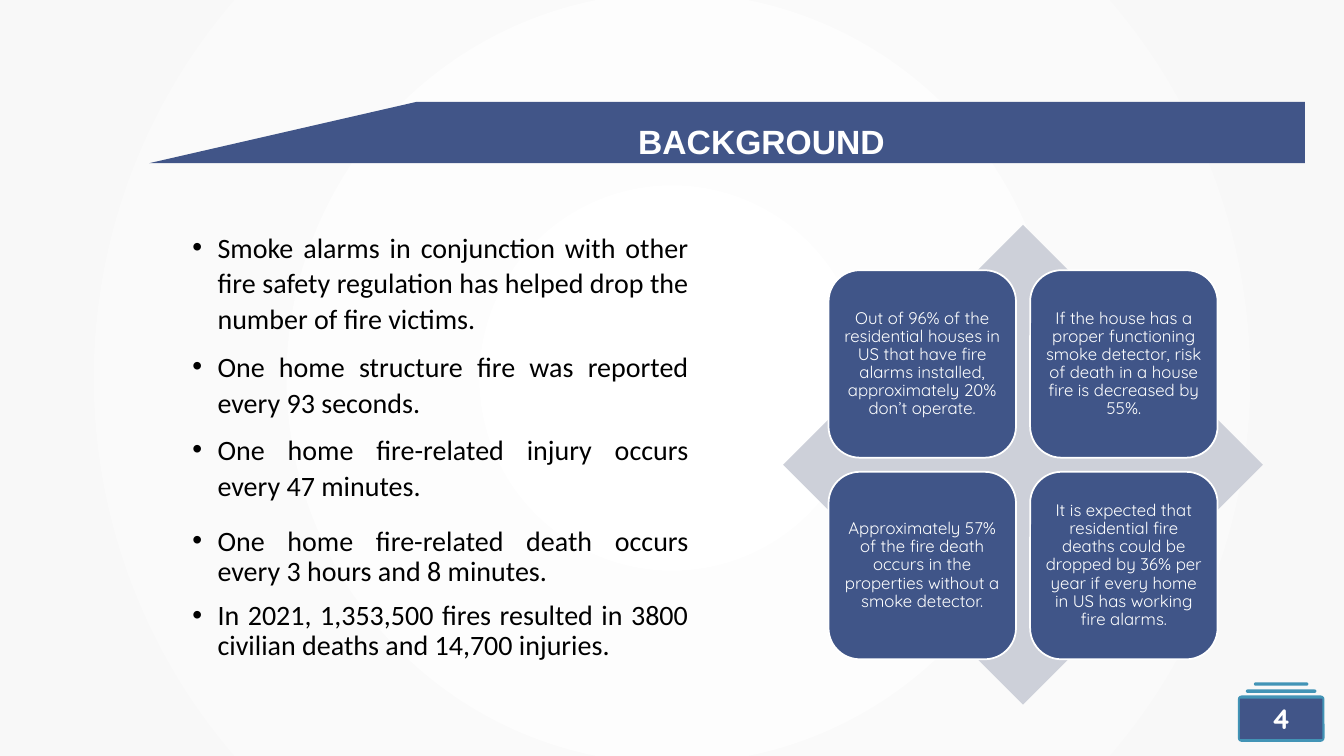
"""Build the fire safety background slide."""
from lxml import etree
from pptx import Presentation
from pptx import util as u
from pptx.dml import color
from pptx.enum import shapes, text
from pptx.oxml import ns

NAVY, CARD, TEAL, GREY, WHITE, BLACK = "415588", "405588", "4294B6", "CDD0D9", "FFFFFF", "000000"
TITLE = "BACKGROUND"
PAGE = "4"
BULLETS = [
    ("Smoke alarms in conjunction with other fire safety regulation has helped drop the number of fire victims.", 1.07, 0),
    ("One home structure fire was reported every 93 seconds.", 1.07, 8),
    ("One home fire-related injury occurs every 47 minutes.", 1.07, 8),
    ("One home fire-related death occurs every 3 hours and 8 minutes.", 0.9, 18),
    ("In 2021, 1,353,500 fires resulted in 3800 civilian deaths and 14,700 injuries.", 0.9, 10),
]
CARDS = [
    "Out of 96% of the residential houses in US that have fire alarms installed, approximately 20% don’t operate.",
    "If the house has a proper functioning smoke detector, risk of death in a house fire is decreased by 55%.",
    "Approximately 57% of the fire death occurs in the properties without a smoke detector.",
    "It is expected that residential fire deaths could be dropped by 36% per year if every home in US has working fire alarms.",
]
BANNER = [(106.5, 116.6), (297.4, 72.8), (932, 72.8), (932, 116.6)]
BADGE = [(895.7, 487.4, 38.9, 2.4, 0.5), (889.9, 492.5, 50.4, 2.4, 0.5), (884.2, 496.8, 61.9, 33.1, 0.08)]
CENTRE_X, CENTRE_Y, DIAMOND, CARD_SIZE, PITCH = 730.8, 332, 342.7, 133.9, 144


def rgb(value):
    return color.RGBColor.from_string(value)


def paint(shape, fill, line=None):
    shape.shadow.inherit = False
    shape.fill.solid()
    shape.fill.fore_color.rgb = rgb(fill)
    if line:
        shape.line.color.rgb = rgb(line)
        shape.line.width = u.Pt(1.25)
    else:
        shape.line.fill.background()


def add_block(slide, kind, box, fill, line=None, corner=None):
    shape = slide.shapes.add_shape(kind, *map(u.Pt, box))
    if corner is not None:
        shape.adjustments[0] = corner
    paint(shape, fill, line)
    return shape


def set_frame(shape, anchor, insets):
    frame = shape.text_frame
    frame.word_wrap = True
    frame.vertical_anchor = anchor
    frame.margin_left, frame.margin_top, frame.margin_right, frame.margin_bottom = map(u.Pt, insets)
    return frame


def write(paragraph, words, font, size, fill, align, spacing=1.0, bold=False):
    paragraph.text = words
    paragraph.alignment = align
    paragraph.line_spacing = spacing
    paragraph.font.name = font
    paragraph.font.size = u.Pt(size)
    paragraph.font.bold = bold
    paragraph.font.color.rgb = rgb(fill)


def add_bullet(paragraph):
    properties = paragraph._p.get_or_add_pPr()
    properties.set("marL", str(u.Pt(18)))
    properties.set("indent", str(-u.Pt(18)))
    marks = [etree.Element(ns.qn("a:buFont"), typeface="Arial"), etree.Element(ns.qn("a:buChar"), char="•")]
    defaults = properties.find(ns.qn("a:defRPr"))
    for mark in marks:
        defaults.addprevious(mark)


def set_background(slide):
    fill = slide.background.fill
    fill.gradient()
    for stop, value in zip(fill.gradient_stops, (WHITE, "F8F8F8")):
        stop.color.rgb = rgb(value)
    for position, stop in enumerate(fill.gradient_stops):
        stop.position = position
    linear = next(slide.background._cSld.iter(ns.qn("a:lin")))
    radial = etree.Element(ns.qn("a:path"), {"path": "circle"})
    etree.SubElement(radial, ns.qn("a:fillToRect"), dict.fromkeys("ltrb", "50000"))
    linear.getparent().replace(linear, radial)


def add_badge(slide):
    for *box, corner in BADGE:
        add_block(slide, shapes.MSO_SHAPE.ROUNDED_RECTANGLE, box, TEAL, corner=corner)
    number = add_block(slide, shapes.MSO_SHAPE.RECTANGLE, (885.6, 499, 59, 28.8), NAVY)
    frame = set_frame(number, text.MSO_ANCHOR.MIDDLE, (7.2, 3.6, 7.2, 3.6))
    write(frame.paragraphs[0], PAGE, "Quicksand", 20, WHITE, text.PP_ALIGN.CENTER, bold=True)


def add_title(slide):
    start, *rest = BANNER
    builder = slide.shapes.build_freeform(u.Pt(start[0]), u.Pt(start[1]), scale=1.0)
    builder.add_line_segments([(u.Pt(x), u.Pt(y)) for x, y in rest], close=True)
    paint(builder.convert_to_shape(), NAVY)
    title = slide.shapes.add_textbox(*map(u.Pt, (395.3, 59, 302.4, 122.4)))
    frame = set_frame(title, text.MSO_ANCHOR.TOP, (60.6, 30.4, 7.2, 3.6))
    write(frame.paragraphs[0], TITLE, "Arial", 24, WHITE, text.PP_ALIGN.LEFT, 0.9, True)


def add_facts(slide):
    facts = slide.shapes.add_textbox(*map(u.Pt, (130.3, 159.1, 368.6, 342.7)))
    frame = set_frame(facts, text.MSO_ANCHOR.TOP, (7.2, 3.6, 7.2, 3.6))
    for index, (words, spacing, before) in enumerate(BULLETS):
        paragraph = frame.add_paragraph() if index else frame.paragraphs[0]
        write(paragraph, words, "Calibri", 20, BLACK, text.PP_ALIGN.JUSTIFY, spacing)
        paragraph.space_before = u.Pt(before)
        add_bullet(paragraph)


def add_matrix(slide):
    corner = (CENTRE_X - DIAMOND / 2, CENTRE_Y - DIAMOND / 2)
    add_block(slide, shapes.MSO_SHAPE.DIAMOND, (*corner, DIAMOND, DIAMOND), GREY)
    reach = (PITCH + CARD_SIZE) / 2
    for index, words in enumerate(CARDS):
        row, column = divmod(index, 2)
        box = (CENTRE_X - reach + column * PITCH, CENTRE_Y - reach + row * PITCH, CARD_SIZE, CARD_SIZE)
        card = add_block(slide, shapes.MSO_SHAPE.ROUNDED_RECTANGLE, box, CARD, WHITE, 0.167)
        frame = set_frame(card, text.MSO_ANCHOR.MIDDLE, [3.6] * 4)
        write(frame.paragraphs[0], words, "Quicksand", 12, WHITE, text.PP_ALIGN.CENTER, 0.9)


def main():
    presentation = Presentation()
    presentation.slide_width, presentation.slide_height = u.Pt(960), u.Pt(540)
    slide = presentation.slides.add_slide(presentation.slide_layouts[6])
    set_background(slide)
    add_badge(slide)
    add_title(slide)
    add_facts(slide)
    add_matrix(slide)
    presentation.save("out.pptx")


if __name__ == "__main__":
    main()
